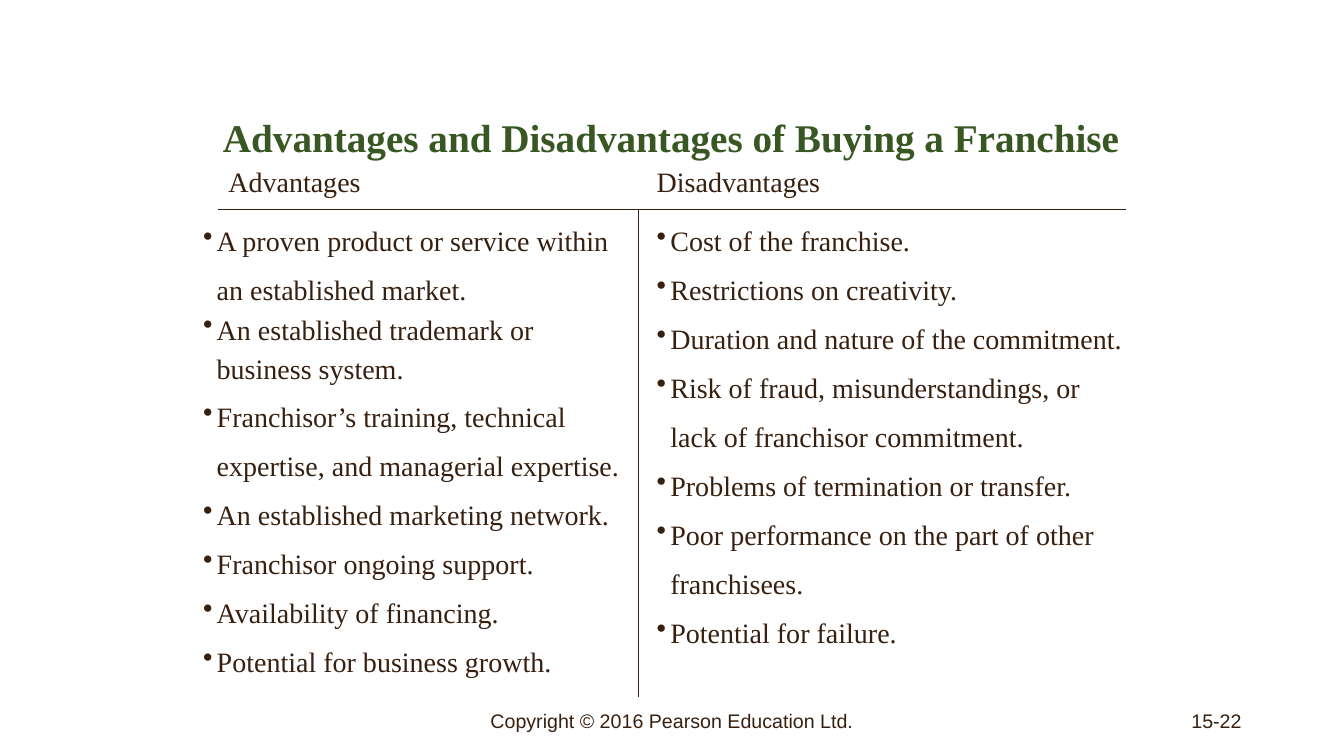
from dataclasses import dataclass
from lxml.etree import SubElement
from pptx import Presentation
from pptx.dml.color import RGBColor
from pptx.enum.shapes import MSO_CONNECTOR
from pptx.enum.text import MSO_ANCHOR, PP_ALIGN
from pptx.oxml.ns import qn
from pptx.util import Emu, Pt


@dataclass(frozen=True)
class Theme:
    ink: RGBColor = RGBColor(0x38, 0x20, 0x10)
    green: RGBColor = RGBColor(0x38, 0x57, 0x23)
    serif: str = "Times New Roman"
    sans: str = "Arial"
    title: int = 28
    body: int = 20
    small: int = 14
    rule: float = 0.75
    gap: int = 11
    tight: float = 0.7


THEME = Theme()
BODY = dict(name=THEME.serif, size=Pt(THEME.body))
SMALL = dict(name=THEME.sans, size=Pt(THEME.small))
HANG = 13

# Each point is a list of lines; tight points have closer lines
PROS = [
    ["A proven product or service within", "an established market."],
    ["An established trademark or", "business system."],
    ["Franchisor’s training, technical", "expertise, and managerial expertise."],
    ["An established marketing network."],
    ["Franchisor ongoing support."],
    ["Availability of financing."],
    ["Potential for business growth."],
]
CONS = [
    ["Cost of the franchise."],
    ["Restrictions on creativity."],
    ["Duration and nature of the commitment."],
    ["Risk of fraud, misunderstandings, or", "lack of franchisor commitment."],
    ["Problems of termination or transfer."],
    ["Poor performance on the part of other", "franchisees."],
    ["Potential for failure."],
]
TIGHT = [PROS[1]]


def px(n):
    return Emu(n * 9525)


def apply(item, values):
    for key, value in values.items():
        setattr(item, key, value)


def style(para, look, color=THEME.ink):
    apply(para.font, look)
    para.font.color.rgb = color


def add_box(slide, area, anchor=MSO_ANCHOR.TOP):
    frame = slide.shapes.add_textbox(*map(px, area)).text_frame
    apply(frame, dict(word_wrap=True, vertical_anchor=anchor))
    return frame


def add_title(slide, text, area):
    title = slide.shapes.title
    apply(title, dict(zip(("left", "top", "width", "height"), map(px, area))))
    frame = title.text_frame
    apply(frame, dict(text=text, word_wrap=True, vertical_anchor=MSO_ANCHOR.MIDDLE))
    para = frame.paragraphs[0]
    apply(para, dict(alignment=PP_ALIGN.CENTER, line_spacing=0.9))
    style(para, dict(name=THEME.serif, size=Pt(THEME.title), bold=True), THEME.green)


def add_label(slide, text, area, look, align=PP_ALIGN.LEFT, anchor=MSO_ANCHOR.TOP):
    para = add_box(slide, area, anchor).paragraphs[0]
    apply(para, dict(text=text, alignment=align))
    style(para, look)


def add_rule(slide, *ends):
    rule = slide.shapes.add_connector(MSO_CONNECTOR.STRAIGHT, *map(px, ends))
    rule.line.color.rgb = THEME.ink
    rule.line.width = Pt(THEME.rule)
    SubElement(rule.element.spPr, qn("a:effectLst"))


def indent(para, first):
    # The first line hangs its bullet; later lines align with its text
    props = para._p.get_or_add_pPr()
    props.set("marL", str(px(HANG)))
    props.set("indent", str(px(-HANG if first else 0)))
    if first:
        SubElement(props, qn("a:buChar")).set("char", "•")
    else:
        SubElement(props, qn("a:buNone"))


def add_list(slide, points, area):
    frame = add_box(slide, area)
    para = None
    for point in points:
        for row, text in enumerate(point):
            start = para is None
            para = frame.paragraphs[0] if start else frame.add_paragraph()
            para.text = text
            indent(para, row == 0)
            para.space_before = Pt(0 if start else THEME.gap)
            if point in TIGHT:
                para.line_spacing = THEME.tight
            style(para, BODY)


def main():
    deck = Presentation()
    apply(deck, dict(slide_width=px(1280), slide_height=px(720)))
    slide = deck.slides.add_slide(deck.slide_layouts[5])

    add_title(slide, "Advantages and Disadvantages of Buying a Franchise",
              (86, 64, 1106, 139))

    # Footer
    add_label(slide, "Copyright © 2016 Pearson Education Ltd.",
              (424, 667, 432, 38), SMALL, PP_ALIGN.CENTER, MSO_ANCHOR.MIDDLE)
    add_label(slide, "15-22", (904, 667, 288, 38), SMALL,
              PP_ALIGN.RIGHT, MSO_ANCHOR.MIDDLE)

    # Rules under the headings and between the columns
    add_rule(slide, 208, 200, 1072, 200)
    add_rule(slide, 608, 200, 608, 664)

    # Columns
    add_label(slide, "Advantages", (208, 152, 256, 42), BODY)
    add_label(slide, "Disadvantages", (616, 152, 256, 42), BODY)
    add_list(slide, PROS, (184, 208, 424, 459))
    add_list(slide, CONS, (616, 208, 472, 430))

    deck.save("out.pptx")


if __name__ == "__main__":
    main()
